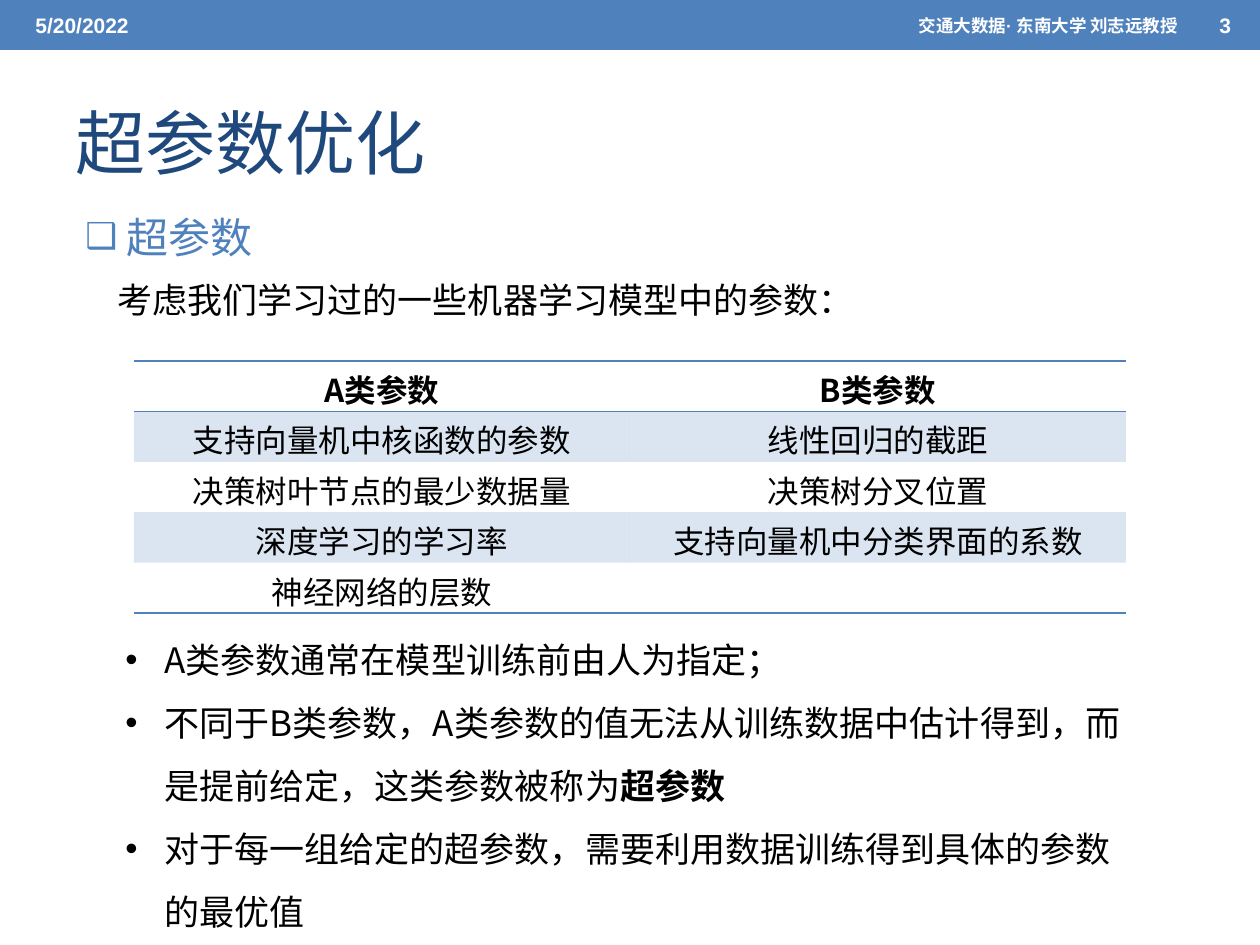
from dataclasses import dataclass

from lxml.etree import SubElement
from pptx import Presentation
from pptx.dml.color import RGBColor
from pptx.enum.shapes import MSO_SHAPE
from pptx.enum.text import MSO_ANCHOR, MSO_AUTO_SIZE, PP_ALIGN
from pptx.oxml import parse_xml
from pptx.oxml.ns import nsdecls, qn
from pptx.util import Emu, Pt

PX_PER_INCH = 126
PLAIN_TABLE_STYLE = "{2D5ABB26-0587-4C30-8999-92F81FD0307C}"


@dataclass(frozen=True)
class Theme:
    accent: str = "4F81BD"
    title: str = "1F497D"
    ink: str = "000000"
    paper: str = "FFFFFF"
    header_font: str = "Arial"
    body_font: str = "Noto Sans CJK SC"
    title_size: int = 40
    section_size: int = 24
    body_size: int = 20
    table_size: int = 18
    header_size: int = 12
    footer_size: int = 10
    line_spacing: float = 1.5
    band_opacity: int = 20


THEME = Theme()


def px(length):
    return Emu(round(length * 914400 / PX_PER_INCH))


def write(paragraph, text, size=THEME.body_size, color=THEME.ink, bold=False,
          font=THEME.body_font, align=PP_ALIGN.LEFT, spacing=None):
    """Append one run and format its paragraph."""
    paragraph.alignment = align
    if spacing:
        paragraph.line_spacing = spacing
    run = paragraph.add_run()
    run.text = text
    run.font.name = font
    run.font.size = Pt(size)
    run.font.bold = bold
    run.font.color.rgb = RGBColor.from_string(color)
    SubElement(run.font._element, qn("a:ea"), typeface=THEME.body_font)


def set_indent(paragraph, length):
    """Hang the first line of a paragraph to the left of the others."""
    properties = paragraph._p.get_or_add_pPr()
    properties.set("marL", str(px(length)))
    properties.set("indent", str(-px(length)))
    return properties


def set_bullet(paragraph, character, indent, color=None, percent=None):
    properties = set_indent(paragraph, indent)
    if color:
        bullet_color = SubElement(properties, qn("a:buClr"))
        SubElement(bullet_color, qn("a:srgbClr"), val=color)
    if percent:
        SubElement(properties, qn("a:buSzPct"), val=str(percent * 1000))
    SubElement(properties, qn("a:buFont"), typeface=THEME.header_font)
    SubElement(properties, qn("a:buChar"), char=character)


def set_borders(cell, sides):
    """Draw accent lines on the given sides, in schema order (T before B)."""
    properties = cell._tc.get_or_add_tcPr()
    for index, side in enumerate(sides):
        properties.insert(index, parse_xml(
            f'<a:ln{side} w="{Pt(1)}" {nsdecls("a")}><a:solidFill>'
            f'<a:srgbClr val="{THEME.accent}"/></a:solidFill></a:ln{side}>'))


def fill_band(cell):
    cell.fill.solid()
    cell.fill.fore_color.rgb = RGBColor.from_string(THEME.accent)
    color = cell._tc.tcPr.find(".//" + qn("a:solidFill") + "/" + qn("a:srgbClr"))
    SubElement(color, qn("a:alpha"), val=str(THEME.band_opacity * 1000))


class SlideBuilder:
    def __init__(self, slide, theme):
        self.slide = slide
        self.theme = theme

    def title(self, text, left, top, width, height):
        shape = self.slide.shapes.title
        shape.left, shape.top = px(left), px(top)
        shape.width, shape.height = px(width), px(height)
        frame = shape.text_frame
        frame.auto_size = MSO_AUTO_SIZE.NONE
        frame.vertical_anchor = MSO_ANCHOR.MIDDLE
        set_indent(frame.paragraphs[0], PX_PER_INCH)
        write(frame.paragraphs[0], text, size=self.theme.title_size,
              color=self.theme.title)

    def band(self, left, top, width, height):
        shape = self.slide.shapes.add_shape(
            MSO_SHAPE.RECTANGLE, px(left), px(top), px(width), px(height))
        shape.shadow.inherit = False
        shape.fill.solid()
        shape.fill.fore_color.rgb = RGBColor.from_string(self.theme.accent)
        shape.line.fill.background()

    def text_frame(self, left, top, width, height, anchor=MSO_ANCHOR.TOP):
        box = self.slide.shapes.add_textbox(
            px(left), px(top), px(width), px(height))
        box.text_frame.word_wrap = True
        box.text_frame.vertical_anchor = anchor
        return box.text_frame

    def header_text(self, text, left, width, size, align=PP_ALIGN.LEFT):
        frame = self.text_frame(left, 3, width, 45, MSO_ANCHOR.MIDDLE)
        write(frame.paragraphs[0], text, size=size, color=self.theme.paper,
              bold=True, font=self.theme.header_font, align=align)

    def section(self, text, left, top, width, height):
        paragraph = self.text_frame(left, top, width, height).paragraphs[0]
        set_bullet(paragraph, "❑", 25, self.theme.accent, 85)
        write(paragraph, text, size=self.theme.section_size,
              color=self.theme.accent, spacing=self.theme.line_spacing)

    def sentence(self, text, left, top, width, height):
        frame = self.text_frame(left, top, width, height)
        write(frame.paragraphs[0], text, spacing=self.theme.line_spacing)

    def bullets(self, items, left, top, width, height):
        """Each item is a list of (text, bold) runs."""
        frame = self.text_frame(left, top, width, height)
        for index, runs in enumerate(items):
            paragraph = frame.add_paragraph() if index else frame.paragraphs[0]
            set_bullet(paragraph, "•", 39)
            for text, bold in runs:
                write(paragraph, text, bold=bold,
                      spacing=self.theme.line_spacing)

    def table(self, rows, left, top, width, height):
        table = self.slide.shapes.add_table(
            len(rows), len(rows[0]), px(left), px(top), px(width),
            px(height)).table
        table.first_row = table.horz_banding = False
        table._tbl.tblPr.find(qn("a:tableStyleId")).text = PLAIN_TABLE_STYLE
        last = len(rows) - 1
        for row_index, row in enumerate(rows):
            for column_index, text in enumerate(row):
                cell = table.cell(row_index, column_index)
                cell.vertical_anchor = MSO_ANCHOR.MIDDLE
                cell.margin_top, cell.margin_bottom = px(5), 0
                if row_index % 2:
                    fill_band(cell)
                else:
                    cell.fill.background()
                set_borders(cell, {0: "TB", last: "B"}.get(row_index, ""))
                if text:
                    write(cell.text_frame.paragraphs[0], text,
                          size=self.theme.table_size, bold=row_index == 0,
                          align=PP_ALIGN.CENTER)


def main():
    presentation = Presentation()
    presentation.slide_width, presentation.slide_height = px(1260), px(945)
    slide = presentation.slides.add_slide(presentation.slide_layouts[5])
    builder = SlideBuilder(slide, THEME)

    builder.band(0, 0, 1260, 50)
    builder.header_text("5/20/2022", 23, 399, THEME.header_size)
    builder.header_text("3", 1207, 53, THEME.header_size)
    builder.header_text("交通大数据· 东南大学 刘志远教授", 525, 665,
                        THEME.footer_size, PP_ALIGN.RIGHT)

    builder.title("超参数优化", 63, 73, 1134, 136)
    builder.section(" 超参数", 73, 180, 1004, 89)
    builder.sentence("考虑我们学习过的一些机器学习模型中的参数：", 105, 251, 1168, 69)
    builder.table([
        ("A类参数", "B类参数"),
        ("支持向量机中核函数的参数", "线性回归的截距"),
        ("决策树叶节点的最少数据量", "决策树分叉位置"),
        ("深度学习的学习率", "支持向量机中分类界面的系数"),
        ("神经网络的层数", ""),
    ], 134, 361, 992, 252)
    builder.bullets([
        [("A类参数通常在模型训练前由人为指定；", False)],
        [("不同于B类参数，A类参数的值无法从训练数据中估计得到，"
          "而是提前给定，这类参数被称为", False), ("超参数", True)],
        [("对于每一组给定的超参数，需要利用数据训练得到具体的参数的最优值", False)],
    ], 113, 611, 1032, 324)

    presentation.save("out.pptx")


if __name__ == "__main__":
    main()
